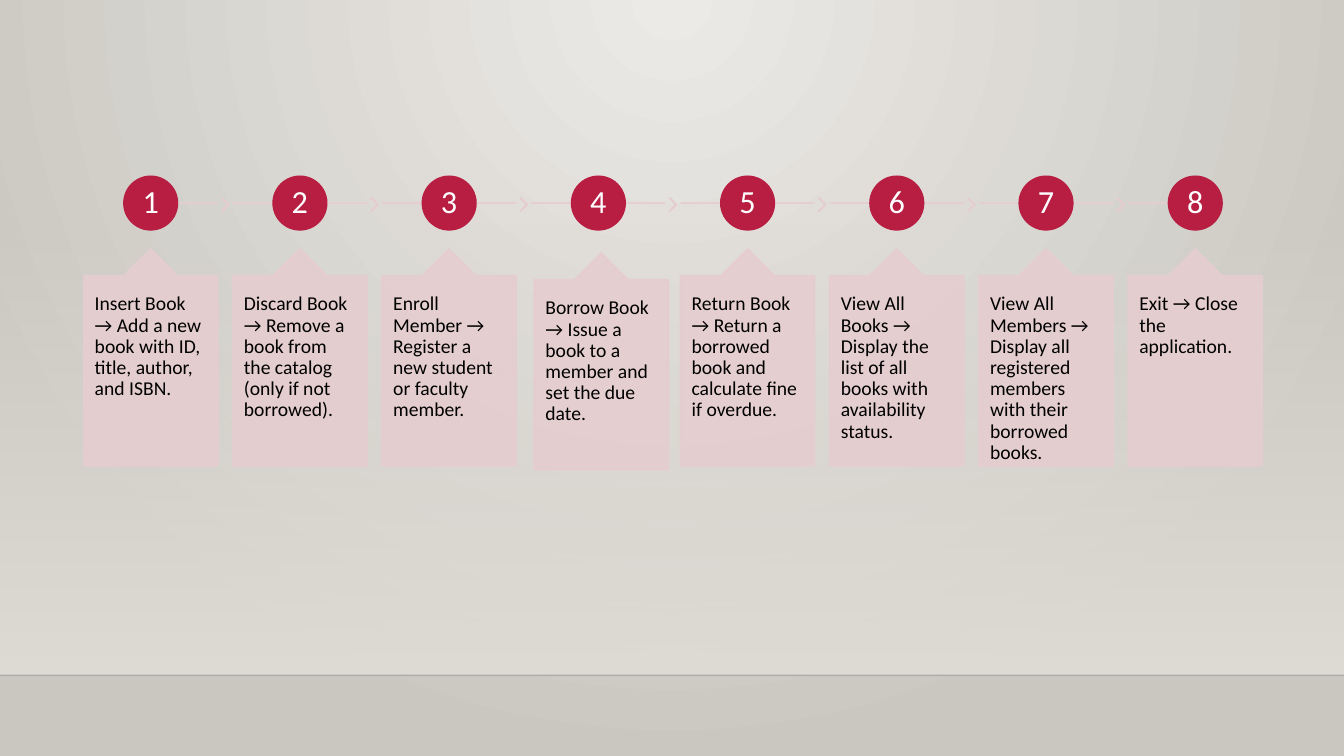
from dataclasses import dataclass

from pptx import Presentation
from pptx.dml.color import RGBColor
from pptx.enum.shapes import MSO_CONNECTOR, MSO_SHAPE
from pptx.enum.text import MSO_ANCHOR, PP_ALIGN
from pptx.oxml import parse_xml
from pptx.oxml.ns import nsdecls, qn
from pptx.util import Inches, Pt


@dataclass(frozen=True)
class Theme:
    font: str = "Calibri"
    number_size: int = 23
    body_size: int = 14
    outline: float = 1.25
    accent: str = "B71E42"
    tint: str = "E6CDCF"
    wall_light: str = "ECEAE7"
    wall_dark: str = "CAC7C1"
    floor: str = "DFDBD5"
    horizon: str = "000001"
    white: str = "FFFFFF"
    black: str = "000000"


@dataclass(frozen=True)
class Box:
    x: float
    y: float
    w: float
    h: float

    def emu(self):
        return [Inches(v) for v in (self.x, self.y, self.w, self.h)]


THEME = Theme()
SLIDE = Box(0, 0, 13.33, 7.5)
TIMELINE = Box(0.83, 1.75, 11.69, 2.87)
PITCH = 1.48
CARD_W = 1.33
DISC = 0.53
CARD_TOP = 0.72
NUDGES = {4: (0.03, 0.04)}
STEPS = [
    "Insert Book → Add a new book with ID, title, author, and ISBN.",
    "Discard Book → Remove a book from the catalog (only if not borrowed).",
    "Enroll Member → Register a new student or faculty member.",
    "Borrow Book → Issue a book to a member and set the due date.",
    "Return Book → Return a borrowed book and calculate fine if overdue.",
    "View All Books → Display the list of all books with availability status.",
    "View All Members → Display all registered members with their borrowed books.",
    "Exit → Close the application.",
]


def gradient(stops, direction):
    marks = "".join(
        f'<a:gs pos="{pos * 1000}"><a:srgbClr val="{color}">'
        f'<a:alpha val="{alpha * 1000}"/></a:srgbClr></a:gs>'
        for pos, color, alpha in stops
    )
    return parse_xml(
        f'<a:gradFill {nsdecls("a")} rotWithShape="1">'
        f"<a:gsLst>{marks}</a:gsLst>{direction}</a:gradFill>"
    )


def use_gradient(parent, grad):
    old = parent.find(qn("a:gradFill"))
    parent.replace(old, grad)


def set_alpha(sp, percent):
    for color in sp._element.spPr.iter(qn("a:srgbClr")):
        color.append(parse_xml(f'<a:alpha {nsdecls("a")} val="{percent * 1000}"/>'))


def add_filled(slide, kind, box, color, alpha=100, adjustments=()):
    sp = slide.shapes.add_shape(kind, *box.emu())
    sp.shadow.inherit = False
    sp.fill.solid()
    sp.fill.fore_color.rgb = RGBColor.from_string(color)
    sp.line.color.rgb = RGBColor.from_string(color)
    sp.line.width = Pt(THEME.outline)
    for i, value in enumerate(adjustments):
        sp.adjustments[i] = value
    if alpha < 100:
        set_alpha(sp, alpha)
    return sp


def add_line(slide, x1, x2, y, color, width, alpha):
    ends = [Inches(v) for v in (x1, y, x2, y)]
    line = slide.shapes.add_connector(MSO_CONNECTOR.STRAIGHT, *ends)
    line.line.color.rgb = RGBColor.from_string(color)
    line.line.width = Pt(width)
    set_alpha(line, alpha)
    line._element.spPr.append(parse_xml(f'<a:effectLst {nsdecls("a")}/>'))


def write(sp, text, size, color, align, anchor, inset_x, inset_y):
    tf = sp.text_frame
    tf.word_wrap = True
    tf.vertical_anchor = anchor
    tf.margin_left = tf.margin_right = Inches(inset_x)
    tf.margin_top = tf.margin_bottom = Inches(inset_y)
    p = tf.paragraphs[0]
    p.alignment = align
    p.line_spacing = 0.9
    p.space_after = Pt(round(size * 0.35))
    r = p.add_run()
    r.text = text
    r.font.name = THEME.font
    r.font.size = Pt(size)
    r.font.color.rgb = RGBColor.from_string(color)


def draw_backdrop(slide, box):
    fill = slide.background.fill
    fill.gradient()
    use_gradient(
        slide._element.cSld.bg.bgPr,
        gradient(
            [(0, THEME.wall_light, 100), (100, THEME.wall_dark, 100)],
            '<a:path path="circle"><a:fillToRect l="43000" t="0" r="43000" b="100000"/></a:path>',
        ),
    )
    horizon = box.y + 6.7
    haze = Box(box.x, box.y + 2.21, box.w, 4.49)
    sp = slide.shapes.add_shape(MSO_SHAPE.RECTANGLE, *haze.emu())
    sp.shadow.inherit = False
    sp.line.fill.background()
    sp.fill.gradient()
    use_gradient(
        sp._element.spPr,
        gradient([(0, THEME.floor, 0), (100, THEME.floor, 100)], '<a:lin ang="5400000" scaled="0"/>'),
    )
    add_line(slide, box.x, box.x + box.w, horizon, THEME.horizon, 1, 20)


def draw_step(slide, box, number, text, first, last):
    middle = box.x + box.w / 2
    axis = box.y + DISC / 2
    start = middle if first else box.x
    end = middle if last else box.x + box.w
    add_line(slide, start, end, axis, THEME.tint, THEME.outline, 90)
    if not last:
        arrow = Box(box.x + box.w + 0.04, axis - 0.05, 0.07, 0.13)
        add_filled(slide, MSO_SHAPE.CHEVRON, arrow, THEME.tint, 90, [0.9])

    disc = Box(middle - DISC / 2, box.y, DISC, DISC)
    sp = add_filled(slide, MSO_SHAPE.OVAL, disc, THEME.accent)
    write(sp, str(number), THEME.number_size, THEME.white,
          PP_ALIGN.CENTER, MSO_ANCHOR.MIDDLE, 0.02, 0.02)

    dx, dy = NUDGES.get(number, (0, 0))
    card = Box(box.x + dx, box.y + CARD_TOP + dy, box.w, box.h - CARD_TOP)
    sp = add_filled(slide, MSO_SHAPE.UP_ARROW_CALLOUT, card, THEME.tint, 90, [0.5, 0.2, 0.2, 1])
    write(sp, text, THEME.body_size, THEME.black,
          PP_ALIGN.LEFT, MSO_ANCHOR.TOP, 0.11, 0.18)


def draw_timeline(slide, box):
    for i, text in enumerate(STEPS):
        column = Box(box.x + i * PITCH, box.y, CARD_W, box.h)
        draw_step(slide, column, i + 1, text, i == 0, i == len(STEPS) - 1)


def main():
    prs = Presentation()
    prs.slide_width = Inches(SLIDE.w)
    prs.slide_height = Inches(SLIDE.h)
    slide = prs.slides.add_slide(prs.slide_layouts[6])
    draw_backdrop(slide, SLIDE)
    draw_timeline(slide, TIMELINE)
    prs.save("out.pptx")


if __name__ == "__main__":
    main()
